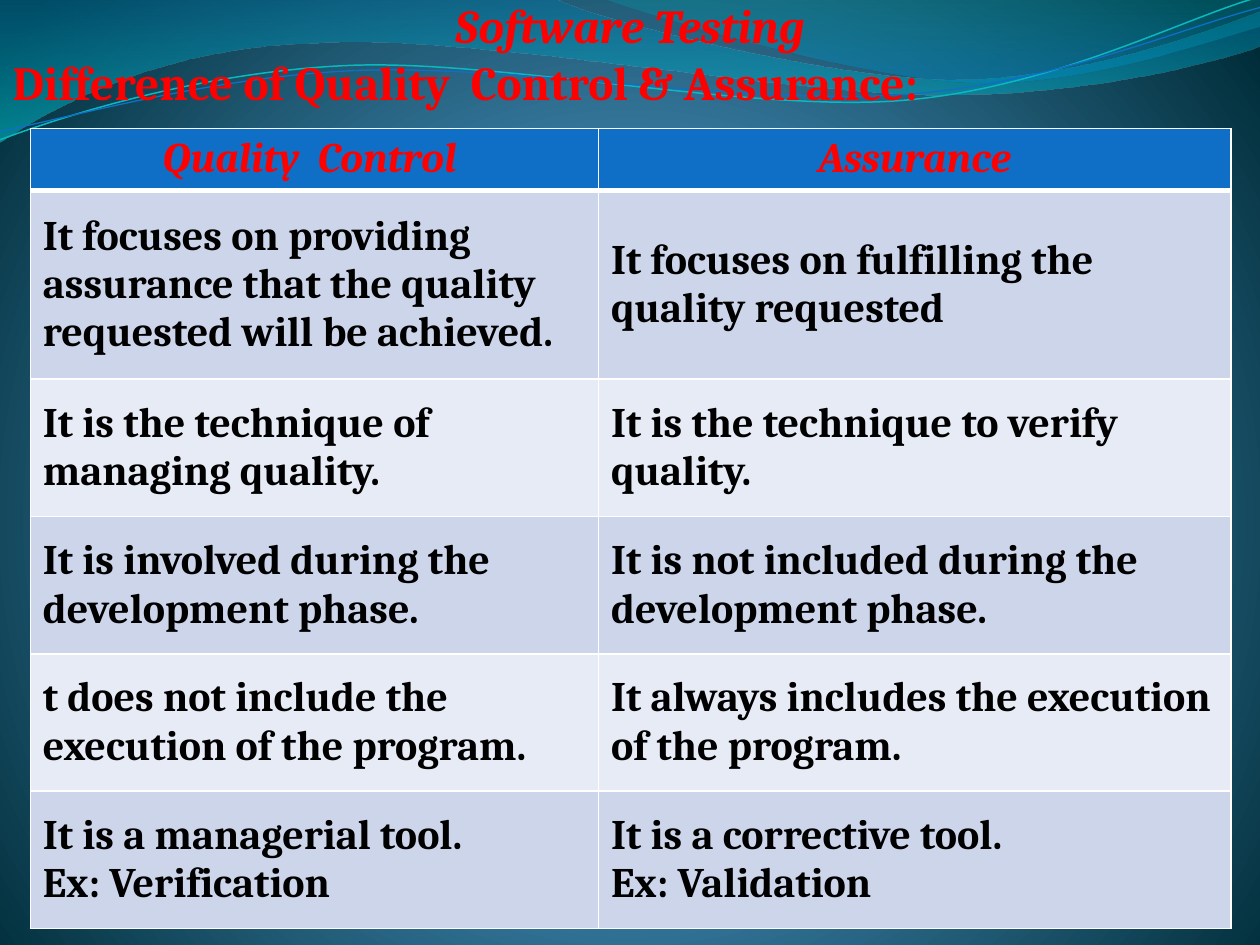
from lxml import etree
from pptx import Presentation, util as u
from pptx.dml.color import RGBColor
from pptx.enum import text as t
from pptx.oxml.ns import qn

RED = RGBColor(0xFF, 0x00, 0x00)
BLACK = RGBColor(0x00, 0x00, 0x00)
WHITE = RGBColor(0xFF, 0xFF, 0xFF)
BLUE = RGBColor(0x0F, 0x6F, 0xC6)
TURQUOISE = RGBColor(0x0A, 0xB8, 0xBF)
BANDS = RGBColor(0xCC, 0xD5, 0xEA), RGBColor(0xE7, 0xEB, 0xF5)
FONT = "Cambria"

HEADING = "Software Testing"
SUBHEADING = "Difference of Quality  Control & Assurance:"
COMPARISON = [
    ("Quality  Control ", "Assurance"),
    ("It focuses on providing assurance that the quality requested will be achieved.",
     "It focuses on fulfilling the quality requested"),
    ("It is the technique of managing quality.", "It is the technique to verify quality."),
    ("It is involved during the development phase.",
     "It is not included during the development phase."),
    ("t does not include the execution of the program.",
     "It always includes the execution of the program."),
    ("It is a managerial tool.\nEx: Verification", "It is a corrective tool.\nEx: Validation"),
]
COLUMN_WIDTHS = [4.51, 5.02]
ROW_HEIGHTS = [0.49, 1.5] + [1.09] * 4

BACKDROP = [(0, "4AA0D6", 100), (25, "4C98C7", 100), (100, "002C38", 100)]
CIRCLE = ("path", {"path": "circle"})
DOWNWARD = ("lin", {"ang": "5400000", "scaled": "0"})
WAVES = [
    ([(0, 0), (4.4, -0.01), (4.76, 0.17, 6.64, 0.63, 7.58, 0.63),
      (8.53, 0.63, 9.58, 0.26, 10, 0.09), (10.01, 0.36),
      (9.83, 0.44, 8.7, 0.76, 7.46, 0.75), (6.22, 0.75, 3.82, 0.28, 2.57, 0.34),
      (1.29, 0.36, 0.46, 0.83, -0.01, 1.13), (0, 0)],
     [(0, "0074A1", 45), (100, "00C6CF", 55)]),
    ([(4.79, -0.01), (5.09, 0.11, 6.82, 0.62, 7.69, 0.65),
      (8.56, 0.69, 9.61, 0.32, 10, 0.21), (10, 0), (4.79, -0.01)],
     [(0, "00A1A9", 30), (80, "008BBF", 45)]),
]
STRANDS = [
    ([(0, 1.11), (0.48, 0.93, 1.58, 0.57, 2.77, 0.52),
      (3.95, 0.47, 5.93, 0.89, 7.13, 0.8), (8.33, 0.71, 9.38, 0.15, 9.98, -0.02)],
     TURQUOISE, 0.85),
    ([(0, 1.04), (0.47, 0.96, 1.64, 0.61, 2.83, 0.56),
      (4.03, 0.51, 5.97, 0.84, 7.17, 0.75), (8.36, 0.67, 9.41, 0.21, 10, 0.06)],
     BLUE, 0.75),
]


def child(parent, tag, **attributes):
    return etree.SubElement(parent, qn(tag), attributes)


def gradient(stops, direction):
    fill = etree.Element(qn("a:gradFill"), rotWithShape="1")
    stop_list = child(fill, "a:gsLst")
    for position, colour, opacity in stops:
        stop = child(stop_list, "a:gs", pos=str(position * 1000))
        shade = child(stop, "a:srgbClr", val=colour)
        if opacity < 100:
            child(shade, "a:alpha", val=str(opacity * 1000))
    kind, attributes = direction
    course = child(fill, "a:" + kind, **attributes)
    if kind == "path":
        child(course, "a:fillToRect", l="10000", t="110000", r="10000", b="100000")
    return fill


def draw_curve(shapes, segments, close):
    points = [(segment[i] * 1000, segment[i + 1] * 1000)
              for segment in segments for i in range(0, len(segment), 2)]
    builder = shapes.build_freeform(*points[0], scale=u.Inches(1) / 1000)
    builder.add_line_segments(points[1:], close=close)
    curve = builder.convert_to_shape()
    curve.shadow.inherit = False
    curve.fill.background()
    steps = iter(list(curve._element.iter(qn("a:lnTo"))))
    for segment in segments[1:]:
        straight = next(steps)
        if len(segment) == 6:
            bend = etree.Element(qn("a:cubicBezTo"))
            straight.addprevious(bend)
            for step in (straight, next(steps), next(steps)):
                bend.append(step[0])
                step.getparent().remove(step)
    return curve


def move_to_master(curve, master, number):
    curve._element.nvSpPr.cNvPr.set("id", str(number))
    master.shapes._spTree.append(curve._element)


def write(paragraph, words, size=24, colour=BLACK, italic=False, align=t.PP_ALIGN.LEFT):
    paragraph.text = words
    paragraph.alignment = align
    font = paragraph.font
    font.name, font.size, font.bold, font.italic = FONT, u.Pt(size), True, italic
    font.color.rgb = colour


def set_borders(cell, **widths):
    properties = cell._tc.get_or_add_tcPr()
    for place, side in enumerate("LRTB"):
        line = etree.Element(qn("a:ln" + side), w=str(u.Pt(widths.get(side, 1))))
        child(child(line, "a:solidFill"), "a:srgbClr", val=str(WHITE))
        properties.insert(place, line)


def add_comparison(shapes):
    frame = shapes.add_table(len(COMPARISON), len(COLUMN_WIDTHS), u.Inches(0.24),
                             u.Inches(1.02), u.Inches(sum(COLUMN_WIDTHS)),
                             u.Inches(sum(ROW_HEIGHTS)))
    table = frame.table
    for column, width in zip(table.columns, COLUMN_WIDTHS):
        column.width = u.Inches(width)
    for index, (row, height, entries) in enumerate(zip(table.rows, ROW_HEIGHTS, COMPARISON)):
        row.height = u.Inches(height)
        for cell, entry in zip(row.cells, entries):
            cell.fill.solid()
            cell.fill.fore_color.rgb = BANDS[(index - 1) % 2] if index else BLUE
            if index:
                cell.vertical_anchor = t.MSO_ANCHOR.MIDDLE
                cell.margin_top = cell.margin_bottom = u.Inches(0.15)
                look = {}
            else:
                look = dict(colour=RED, italic=True, align=t.PP_ALIGN.CENTER)
            set_borders(cell, T=3 if index == 1 else 1, B=1 if index else 3)
            for number, words in enumerate(entry.split("\n")):
                body = cell.text_frame
                write(body.add_paragraph() if number else body.paragraphs[0], words, **look)


def main():
    deck = Presentation()
    deck.slide_width, deck.slide_height = u.Inches(10), u.Inches(7.5)
    slide = deck.slides.add_slide(deck.slide_layouts[5])
    shapes = slide.shapes

    slide.background.fill.solid()
    backdrop = slide.background._cSld.bg.bgPr
    backdrop.replace(backdrop[0], gradient(BACKDROP, CIRCLE))

    curves = []
    for segments, stops in WAVES:
        wave = draw_curve(shapes, segments, True)
        wave.line.fill.background()
        properties = wave._element.spPr
        properties.replace(properties.find(qn("a:noFill")), gradient(stops, DOWNWARD))
        curves.append(wave)
    for segments, colour, width in STRANDS:
        strand = draw_curve(shapes, segments, False)
        strand.line.color.rgb = colour
        strand.line.width = u.Pt(width)
        curves.append(strand)
    for number, curve in enumerate(curves, 101):
        move_to_master(curve, deck.slide_master, number)

    title = shapes.title
    title.left, title.top = 0, u.Inches(-0.08)
    title.width, title.height = deck.slide_width, u.Inches(1.46)
    heading = title.text_frame
    heading.auto_size = t.MSO_AUTO_SIZE.NONE
    heading.vertical_anchor = t.MSO_ANCHOR.TOP
    write(heading.paragraphs[0], HEADING, size=27, colour=RED, italic=True,
          align=t.PP_ALIGN.CENTER)
    write(heading.add_paragraph(), SUBHEADING, size=27, colour=RED)

    add_comparison(shapes)
    deck.save("out.pptx")


if __name__ == "__main__":
    main()
